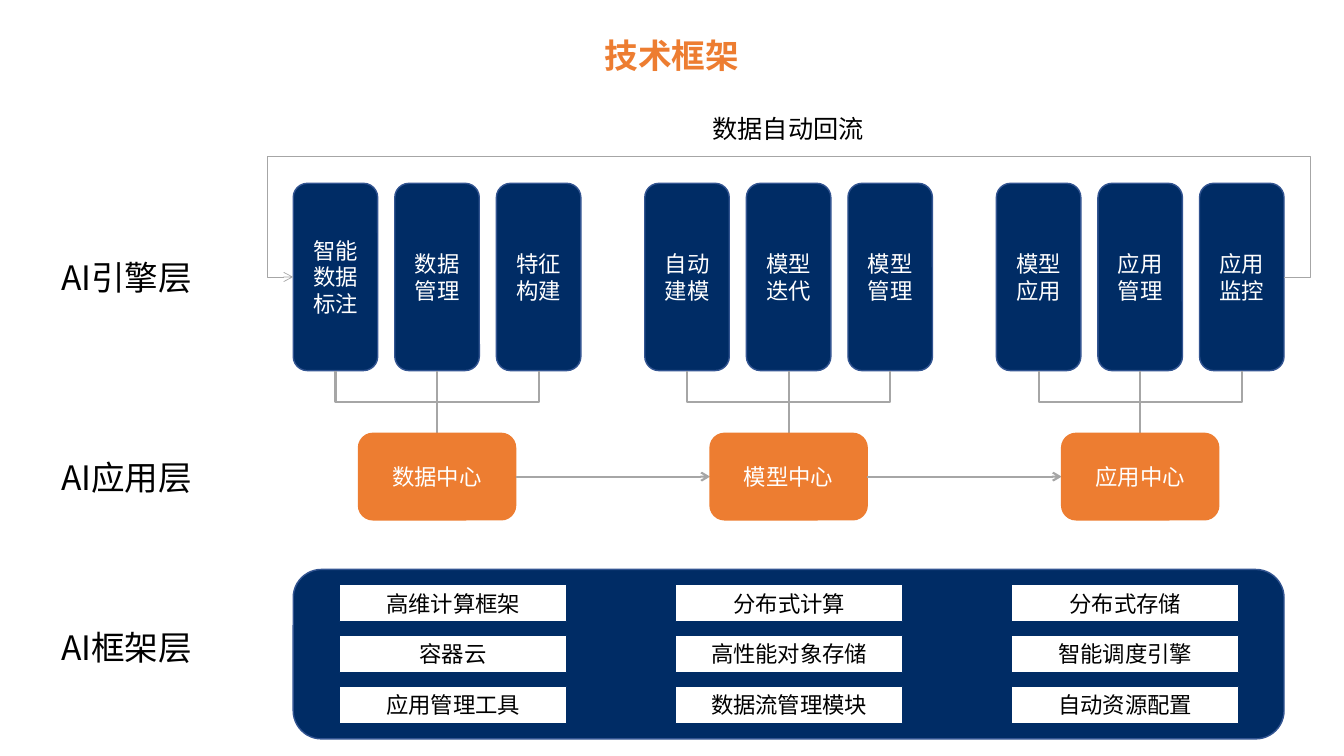
import pptx
import pptx.util
import pptx.dml.color
import pptx.enum.shapes
import pptx.enum.text
import pptx.oxml
import pptx.oxml.ns

Cm = pptx.util.Cm
Pt = pptx.util.Pt
KIND = pptx.enum.shapes.MSO_SHAPE
LINK = pptx.enum.shapes.MSO_CONNECTOR
TEXT = pptx.enum.text

TITLE = "技术框架"
CAPTION = "数据自动回流"
LAYERS = [("AI引擎层", 6.35), ("AI应用层", 11.38), ("AI框架层", 15.67)]
CENTERS = [
    ("数据中心", ["智能数据标注", "数据\n管理", "特征构建"]),
    ("模型中心", ["自动建模", "模型迭代", "模型管理"]),
    ("应用中心", ["模型应用", "应用管理", "应用监控"]),
]
TILES = [
    ["高维计算框架", "分布式计算", "分布式存储"],
    ["容器云", "高性能对象存储", "智能调度引擎"],
    ["应用管理工具", "数据流管理模块", "自动资源配置"],
]

FONT = "Noto Sans CJK SC"
NAVY, EDGE, ORANGE = "002C65", "325491", "ED7D31"
GREY, WHITE, BLACK = "A6A6A6", "FFFFFF", "000000"

# Lengths in centimetres
LEFT, WIDE = 7.39, 24.97
BOX_W, BOX_H, BOX_TOP, BOX_STEP = 2.13, 4.72, 4.62, 2.56
HUB_W, HUB_H, HUB_TOP, HUB_STEP = 3.96, 2.18, 10.92, 8.86
BASE_TOP, BASE_H = 14.35, 4.27
TILE_LEFT, TILE_TOP, TILE_W, TILE_H = 8.56, 14.73, 5.72, 0.94
TILE_DX, TILE_DY = 8.47, 1.28
LOOP_TOP, LOOP_GAP = 3.95, 0.66


def color(code):
    return pptx.dml.color.RGBColor.from_string(code)


def write(frame, text, size, code, bold=False):
    for i, part in enumerate(text.split("\n")):
        para = frame.add_paragraph() if i else frame.paragraphs[0]
        para.alignment = TEXT.PP_ALIGN.CENTER
        run = para.add_run()
        run.text = part
        font = run.font
        font.name, font.size, font.bold = FONT, Pt(size), bold
        font.color.rgb = color(code)
        east = pptx.oxml.parse_xml(
            f'<a:ea {pptx.oxml.ns.nsdecls("a")} typeface="{FONT}"/>')
        font._element.find(pptx.oxml.ns.qn("a:latin")).addnext(east)


def block(kind, x, y, w, h, fill, edge, text="", ink=WHITE, width=1):
    shape = shapes.add_shape(kind, Cm(x), Cm(y), Cm(w), Cm(h))
    shape.shadow.inherit = False
    shape.fill.solid()
    shape.fill.fore_color.rgb = color(fill)
    shape.line.color.rgb = color(edge)
    shape.line.width = Pt(width)
    if text:
        shape.text_frame.word_wrap = True
        shape.text_frame.vertical_anchor = TEXT.MSO_ANCHOR.MIDDLE
        write(shape.text_frame, text, 16, ink)


def label(x, y, w, h, text, size):
    frame = shapes.add_textbox(Cm(x), Cm(y), Cm(w), Cm(h)).text_frame
    frame.word_wrap = True
    write(frame, text, size, BLACK)


def stroke(shape, width, arrow=False):
    shape.line.color.rgb = color(GREY)
    shape.line.width = Pt(width)
    if arrow:
        shape.line._get_or_add_ln().append(pptx.oxml.parse_xml(
            f'<a:tailEnd {pptx.oxml.ns.nsdecls("a")} type="arrow"/>'))


def link(kind, x1, y1, x2, y2, arrow=False):
    line = shapes.add_connector(kind, Cm(x1), Cm(y1), Cm(x2), Cm(y2))
    stroke(line, 1.5, arrow)
    line._element.spPr.append(pptx.oxml.parse_xml(
        f'<a:effectLst {pptx.oxml.ns.nsdecls("a")}/>'))
    return line


def branch(x1, y1, x2, y2):
    """Join a hub to a box above it by an elbow that leaves upwards."""
    if x1 == x2:
        link(LINK.STRAIGHT, x1, y1, x2, y2)
        return
    mid_x, mid_y = (x1 + x2) / 2, (y1 + y2) / 2
    rise, run = (y1 - y2) / 2, (x2 - x1) / 2
    line = link(LINK.ELBOW, mid_x - rise, mid_y - run, mid_x + rise, mid_y + run)
    line._element.spPr.find(pptx.oxml.ns.qn("a:xfrm")).set("rot", "16200000")


deck = pptx.Presentation()
deck.slide_width, deck.slide_height = Cm(33.87), Cm(19.05)
slide = deck.slides.add_slide(deck.slide_layouts[5])
shapes = slide.shapes

title = shapes.title
title.left, title.top, title.width, title.height = Cm(3.45), Cm(0.76), Cm(26.97), Cm(1.27)
title.text_frame.vertical_anchor = TEXT.MSO_ANCHOR.MIDDLE
write(title.text_frame, TITLE, 24, ORANGE, True)

label(17.7, 2.72, 4.32, 1.02, CAPTION, 18)
for name, top in LAYERS:
    label(0.33, top, 5.72, 1.27, name, 24)

hub_mid = HUB_TOP + HUB_H / 2
for i, (hub, boxes) in enumerate(CENTERS):
    start = LEFT + i * HUB_STEP
    axis = start + BOX_STEP + BOX_W / 2
    for j, name in enumerate(boxes):
        block(KIND.ROUNDED_RECTANGLE, start + j * BOX_STEP, BOX_TOP, BOX_W, BOX_H,
              NAVY, EDGE, name)
        branch(axis, HUB_TOP, axis + (j - 1) * BOX_STEP, BOX_TOP + BOX_H)
    block(KIND.ROUNDED_RECTANGLE, axis - HUB_W / 2, HUB_TOP, HUB_W, HUB_H,
          ORANGE, ORANGE, hub)
    if i < len(CENTERS) - 1:
        link(LINK.STRAIGHT, axis + HUB_W / 2, hub_mid,
             axis + HUB_STEP - HUB_W / 2, hub_mid, True)

right, box_mid = LEFT + WIDE, BOX_TOP + BOX_H / 2
route = [(right + LOOP_GAP, box_mid), (right + LOOP_GAP, LOOP_TOP),
         (LEFT - LOOP_GAP, LOOP_TOP), (LEFT - LOOP_GAP, box_mid), (LEFT, box_mid)]
pen = shapes.build_freeform(Cm(right), Cm(box_mid))
pen.add_line_segments([(Cm(x), Cm(y)) for x, y in route], close=False)
loop = pen.convert_to_shape()
loop.shadow.inherit = False
loop.fill.background()
stroke(loop, 0.5, True)

block(KIND.ROUNDED_RECTANGLE, LEFT, BASE_TOP, WIDE, BASE_H, NAVY, EDGE)
for i, row in enumerate(TILES):
    for j, name in enumerate(row):
        block(KIND.RECTANGLE, TILE_LEFT + j * TILE_DX, TILE_TOP + i * TILE_DY,
              TILE_W, TILE_H, WHITE, NAVY, name, BLACK, 0.75)

deck.save("out.pptx")
